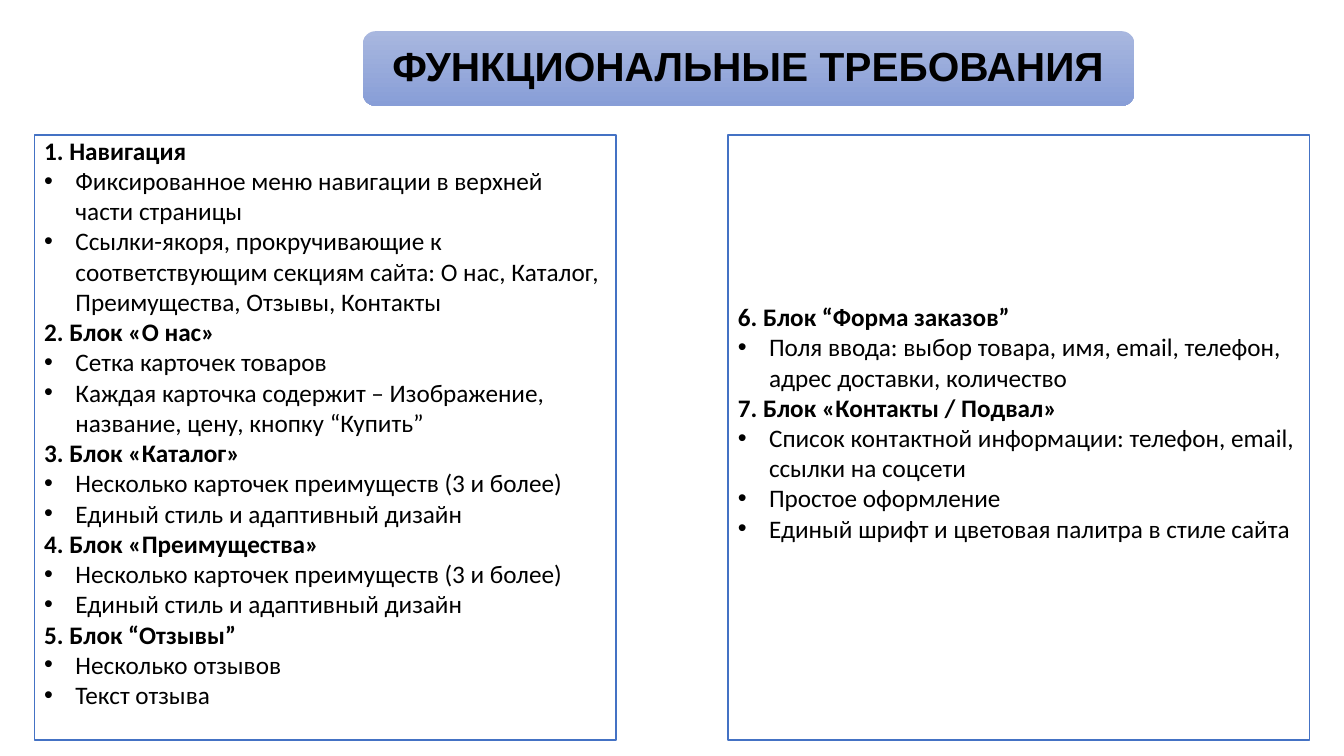
from lxml.etree import SubElement
from pptx import Presentation
from pptx.dml.color import RGBColor
from pptx.enum.shapes import MSO_SHAPE as Shape
from pptx.enum.text import MSO_ANCHOR as Anchor, PP_ALIGN as Align
from pptx.oxml.ns import qn
from pptx.util import Inches, Pt

BLACK = RGBColor(0x00, 0x00, 0x00)
WHITE = RGBColor(0xFF, 0xFF, 0xFF)
BLUE = RGBColor(0x44, 0x72, 0xC4)
LIGHT = RGBColor(0xA8, 0xB7, 0xDF)
DEEP = RGBColor(0x88, 0x9E, 0xD7)

TITLE = "ФУНКЦИОНАЛЬНЫЕ ТРЕБОВАНИЯ"
CARDS = ["Несколько карточек преимуществ (3 и более)",
         "Единый стиль и адаптивный дизайн"]
LEFT = [
    ("1. Навигация", [
        "Фиксированное меню навигации в верхней части страницы",
        "Ссылки-якоря, прокручивающие к соответствующим секциям сайта: "
        "О нас, Каталог, Преимущества, Отзывы, Контакты"]),
    ("2. Блок «О нас»", [
        "Сетка карточек товаров",
        "Каждая карточка содержит – Изображение, название, цену, "
        "кнопку “Купить”"]),
    ("3. Блок «Каталог»", CARDS),
    ("4. Блок «Преимущества»", CARDS),
    ("5. Блок “Отзывы”", ["Несколько отзывов", "Текст отзыва"]),
]
RIGHT = [
    ("6. Блок “Форма заказов”", [
        "Поля ввода: выбор товара, имя, email, телефон, адрес доставки, "
        "количество"]),
    ("7. Блок «Контакты / Подвал»", [
        "Список контактной информации: телефон, email, ссылки на соцсети",
        "Простое оформление",
        "Единый шрифт и цветовая палитра в стиле сайта"]),
]


def write(para, text, size=18, face="Calibri", bold=False, align=Align.LEFT,
          bullet=False):
    if bullet:
        props = para._p.get_or_add_pPr()
        props.set("marL", str(Inches(0.31)))
        props.set("indent", str(-Inches(0.31)))
        SubElement(props, qn("a:buFont"), typeface="Arial")
        SubElement(props, qn("a:buChar"), char="•")
    para.alignment = align
    run = para.add_run()
    run.text = text
    font = run.font
    font.name, font.size, font.bold = face, Pt(size), bold
    font.color.rgb = BLACK


class Deck:
    def __init__(self):
        self.prs = Presentation()
        self.prs.slide_width = Inches(13.33)
        self.prs.slide_height = Inches(7.5)
        self.slide = self.prs.slides.add_slide(self.prs.slide_layouts[6])

    def shape(self, kind, left, top, width, height):
        item = self.slide.shapes.add_shape(
            kind, Inches(left), Inches(top), Inches(width), Inches(height))
        item.shadow.inherit = False
        item.text_frame.word_wrap = True
        item.text_frame.vertical_anchor = Anchor.MIDDLE
        return item

    def banner(self, text):
        bar = self.shape(Shape.ROUNDED_RECTANGLE, 3.6, 0.31, 7.65, 0.74)
        bar.line.fill.background()
        bar.fill.gradient()
        bar.fill.gradient_angle = 270
        for stop, color in zip(bar.fill.gradient_stops, (LIGHT, DEEP)):
            stop.color.rgb = color
        para = bar.text_frame.paragraphs[0]
        para.line_spacing = 0.9
        write(para, text, size=29, face="Arial", bold=True,
              align=Align.CENTER)

    def panel(self, left, blocks):
        box = self.shape(Shape.RECTANGLE, left, 1.34, 5.77, 6)
        box.fill.solid()
        box.fill.fore_color.rgb = WHITE
        box.line.color.rgb = BLUE
        box.line.width = Pt(1)
        frame = box.text_frame
        frame.margin_bottom = Inches(0.35)
        para = frame.paragraphs[0]
        for head, items in blocks:
            if para.runs:
                para = frame.add_paragraph()
            write(para, head, bold=True)
            for item in items:
                para = frame.add_paragraph()
                write(para, item, bullet=True)


def main():
    deck = Deck()
    deck.banner(TITLE)
    deck.panel(0.34, LEFT)
    deck.panel(7.22, RIGHT)
    deck.prs.save("out.pptx")


if __name__ == "__main__":
    main()
